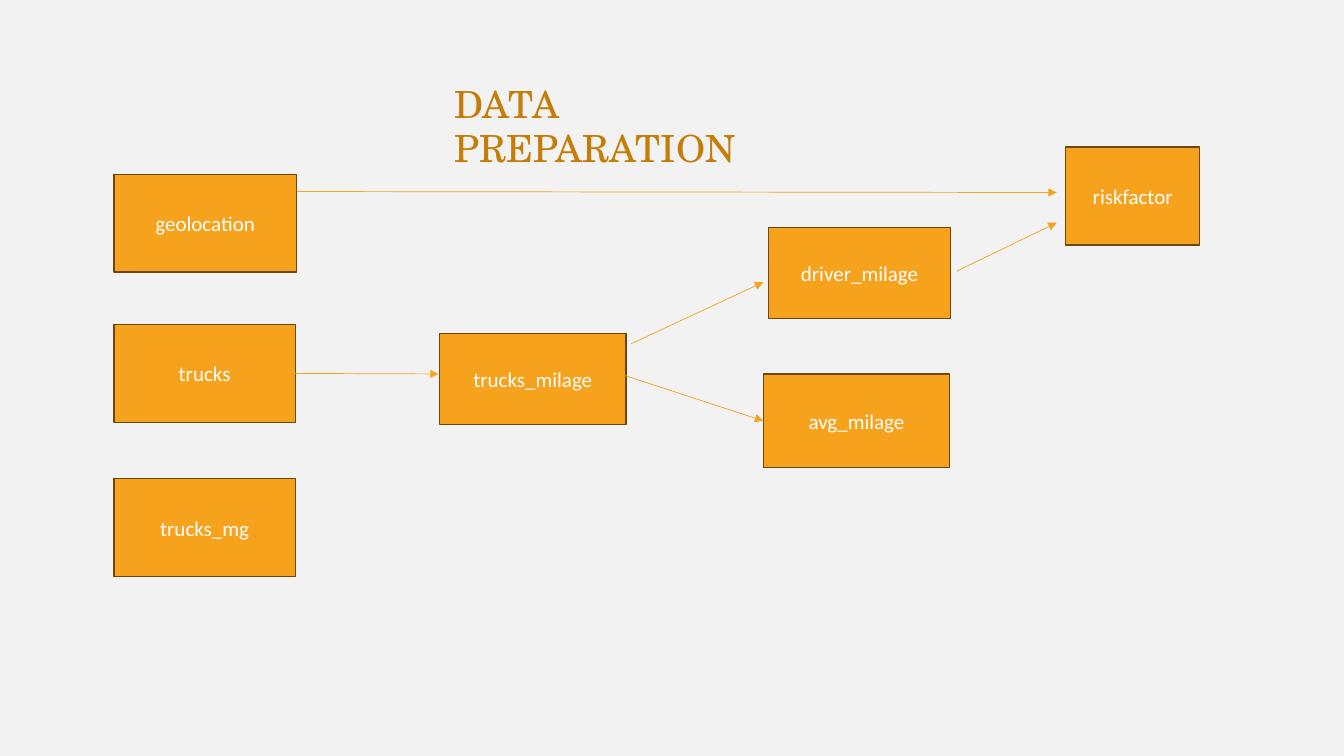
from lxml.etree import SubElement as Sub
from pptx import Presentation
from pptx.dml.color import RGBColor as RGB
from pptx.enum.shapes import MSO_CONNECTOR as Link, MSO_SHAPE as Shape
from pptx.enum.text import MSO_ANCHOR as Anchor, MSO_AUTO_SIZE as Fit, PP_ALIGN as Align
from pptx.oxml.ns import qn
from pptx.util import Pt

PX = 9144
HUES = {"back": "F2F2F2", "box": "F6A21D", "edge": "6C470D",
        "title": "C67D08", "label": "FFFFFF"}
BOXES = {
    "geolocation": (113, 173, 181, 97),
    "trucks": (113, 322, 180, 97),
    "trucks_mg": (113, 475, 180, 97),
    "trucks_milage": (436, 331, 185, 90),
    "avg_milage": (757, 371, 185, 93),
    "driver_milage": (762, 226, 181, 90),
    "riskfactor": (1057, 146, 133, 97),
}
ARROWS = [
    ((293, 371), (435, 371), "trucks", None),
    ((615, 371), (757, 417), None, "avg_milage"),
    ((626, 341), (757, 280), None, None),
    ((949, 269), (1048, 221), None, None),
    ((295, 190), (1048, 191), None, None),
]


def hue(name):
    return RGB.from_string(HUES[name])


def write(shape, text, size=15, face="Calibri", color="label",
          align=Align.CENTER, anchor=Anchor.MIDDLE):
    frame = shape.text_frame
    frame.text = text
    frame.word_wrap = True
    frame.auto_size = Fit.NONE
    frame.vertical_anchor = anchor
    para = frame.paragraphs[0]
    para.alignment = align
    para.space_after = Pt(5.8)
    for run in para.runs:
        font = run.font
        font.size, font.name = Pt(size), face
        font.color.rgb = hue(color)


class Deck:
    """Holds the style and the current slide, and draws each kind of element."""

    def __init__(self, wide, high):
        self.prs = Presentation()
        self.prs.slide_width, self.prs.slide_height = wide * PX, high * PX
        self.slide = self.prs.slides.add_slide(self.prs.slide_layouts[5])
        fill = self.slide.background.fill
        fill.solid()
        fill.fore_color.rgb = hue("back")

    def title(self, text, x, y, w, h):
        head = self.slide.shapes.title
        head.left, head.top, head.width, head.height = (n * PX for n in (x, y, w, h))
        write(head, text, size=26.7, face="TeX Gyre Schola", color="title",
              align=Align.LEFT, anchor=Anchor.TOP)

    def box(self, text, x, y, w, h):
        rect = self.slide.shapes.add_shape(
            Shape.RECTANGLE, *(n * PX for n in (x, y, w, h)))
        rect.shadow.inherit = False
        rect.fill.solid()
        rect.fill.fore_color.rgb = hue("box")
        rect.line.color.rgb = hue("edge")
        rect.line.width = Pt(1)
        write(rect, text)
        return rect

    def arrow(self, start, end, source=None, target=None):
        line = self.slide.shapes.add_connector(
            Link.STRAIGHT, *(n * PX for n in start + end))
        if source is not None:
            line.begin_connect(source, 3)
        if target is not None:
            line.end_connect(target, 1)
        line.line.color.rgb = hue("box")
        line.line.width = Pt(0.5)
        props = line.line._get_or_add_ln()
        Sub(props, qn("a:tailEnd"), type="triangle")
        Sub(props.getparent(), qn("a:effectLst"))


def main():
    deck = Deck(1333, 750)
    deck.title("DATA\vPREPARATION", 441, 75, 411, 55)
    boxes = {name: deck.box(name, *area) for name, area in BOXES.items()}
    for start, end, source, target in ARROWS:
        deck.arrow(start, end, boxes.get(source), boxes.get(target))
    deck.prs.save("out.pptx")


if __name__ == "__main__":
    main()
